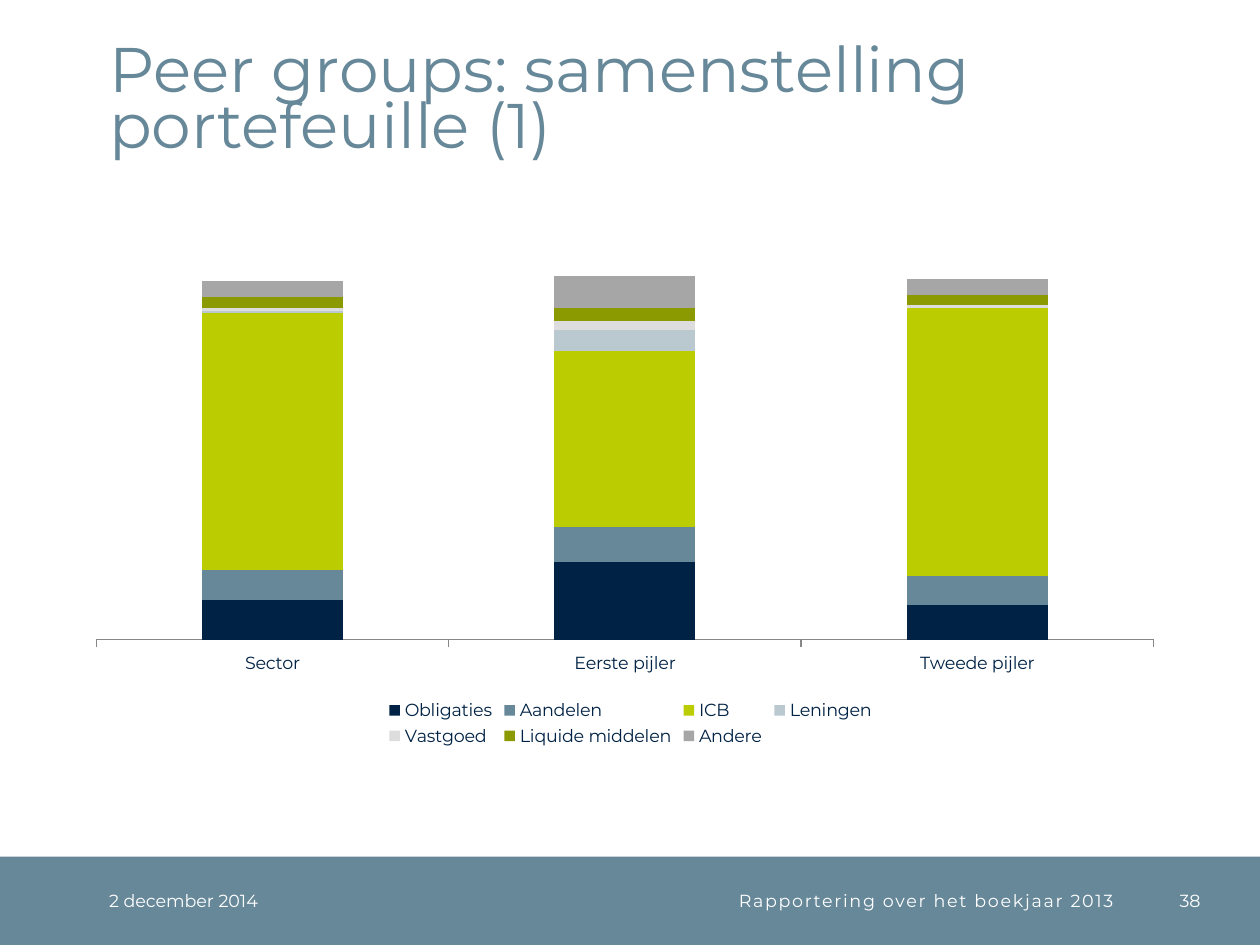
from lxml import etree
from pptx import Presentation, util as u
from pptx.chart.data import CategoryChartData
from pptx.dml.color import RGBColor
from pptx.enum import chart as ch, shapes, text
from pptx.oxml import parse_xml
from pptx.oxml.ns import nsdecls, qn

SLIDE_WIDTH, SLIDE_HEIGHT = 25.4, 19.05
FOOTER_TOP, FOOTER_HEIGHT = 17.27, 1.78
MARGIN = 2.2
NAVY, STEEL, WHITE, GREY = "002244", "668899", "FFFFFF", "878787"

CATEGORIES = ["Sector", "Eerste pijler", "Tweede pijler"]
PORTFOLIO = [
    ("Obligaties", (15, 29, 13), NAVY),
    ("Aandelen", (11, 13, 11), STEEL),
    ("ICB", (96, 66, 100), "BBCC00"),
    ("Leningen", (1, 8, 0), "BAC9D0"),
    ("Vastgoed", (1, 3, 1), "DDDDDD"),
    ("Liquide middelen", (4, 5, 4), "8B9A00"),
    ("Andere", (6, 12, 6), "A6A6A6"),
]


def colour(value):
    return RGBColor.from_string(value)


def write(frame, words, size=10, ink=WHITE, font="Montserrat", align="LEFT",
          anchor="MIDDLE", leading=None, tracking=None):
    frame.word_wrap = True
    frame.margin_left = frame.margin_right = 0
    frame.margin_top = frame.margin_bottom = 0
    frame.vertical_anchor = getattr(text.MSO_ANCHOR, anchor)
    line = frame.paragraphs[0]
    line.alignment = getattr(text.PP_ALIGN, align)
    if leading:
        line.line_spacing = u.Pt(leading)
    run = line.add_run()
    run.text = words
    run.font.name = font
    run.font.size = u.Pt(size)
    run.font.color.rgb = colour(ink)
    if tracking:
        run.font._element.set("spc", str(tracking * 100))


def manual_layout(x, y, w, h, inner=False):
    layout = parse_xml(f"<c:layout {nsdecls('c')}><c:manualLayout/></c:layout>")
    settings = [("layoutTarget", "inner")] if inner else []
    settings += [("xMode", "edge"), ("yMode", "edge"),
                 ("x", x), ("y", y), ("w", w), ("h", h)]
    for name, value in settings:
        etree.SubElement(layout[0], qn(f"c:{name}")).set("val", str(value))
    return layout


class Deck:
    font = "Montserrat"
    size = 10

    def __init__(self, width, height):
        self.deck = Presentation()
        self.deck.slide_width, self.deck.slide_height = u.Cm(width), u.Cm(height)
        self.slide = self.deck.slides.add_slide(self.deck.slide_layouts[6])

    def band(self, *place, fill):
        band = self.slide.shapes.add_shape(
            shapes.MSO_SHAPE.RECTANGLE, *map(u.Cm, place))
        band.shadow.inherit = False
        band.fill.solid()
        band.fill.fore_color.rgb = colour(fill)
        band.line.fill.background()

    def label(self, words, *place, **style):
        box = self.slide.shapes.add_textbox(*map(u.Cm, place))
        write(box.text_frame, words, font=self.font, **style)

    def stacked_columns(self, categories, portfolio, *place, top):
        data = CategoryChartData()
        data.categories = categories
        for name, values, _ in portfolio:
            data.add_series(name, values)
        chart = self.slide.shapes.add_chart(
            ch.XL_CHART_TYPE.COLUMN_STACKED, *map(u.Cm, place), data).chart
        chart.has_title = False
        chart.font.name = self.font
        chart.font.size = u.Pt(self.size)
        chart.font.color.rgb = colour(NAVY)

        columns = chart.plots[0]
        columns.gap_width, columns.overlap = 150, 100
        columns.vary_by_categories = False
        for series, (_, _, fill) in zip(columns.series, portfolio):
            series.format.fill.solid()
            series.format.fill.fore_color.rgb = colour(fill)

        shares = chart.value_axis
        shares.visible = False
        shares.has_major_gridlines = False
        shares.minimum_scale, shares.maximum_scale = 0, top
        shares.tick_labels.number_format = "0%"
        shares.tick_labels.number_format_is_linked = False

        groups = chart.category_axis
        groups.major_tick_mark = ch.XL_TICK_MARK.OUTSIDE
        groups.format.line.color.rgb = colour(GREY)
        groups.format.line.width = u.Pt(0.75)

        chart.has_legend = True
        chart.legend.position = ch.XL_LEGEND_POSITION.BOTTOM
        chart.legend.include_in_layout = False
        self.arrange(chart)

    def arrange(self, chart):
        plot_area = chart._chartSpace.chart.plotArea
        legend = chart.legend._element
        for part in (plot_area, legend):
            for old in part.findall(qn("c:layout")):
                part.remove(old)
        plot_area.insert(0, manual_layout(0.02, 0.02, 0.96, 0.78, inner=True))
        legend.find(qn("c:legendPos")).addnext(
            manual_layout(0.28, 0.9, 0.45, 0.1))


def main():
    page = Deck(SLIDE_WIDTH, SLIDE_HEIGHT)
    page.band(0, FOOTER_TOP, SLIDE_WIDTH, FOOTER_HEIGHT, fill=STEEL)
    page.label("2 december 2014", MARGIN, FOOTER_TOP, 4.5, FOOTER_HEIGHT)
    page.label("Peer groups: samenstelling portefeuille (1)",
               MARGIN, 0.5, 21.92, 2.74, size=36, ink=STEEL,
               anchor="BOTTOM", leading=32)
    page.label("38", 22.96, FOOTER_TOP, 1.24, FOOTER_HEIGHT, align="RIGHT")
    page.label("Rapportering over het boekjaar 2013",
               6.7, FOOTER_TOP, 15.75, FOOTER_HEIGHT, align="RIGHT", tracking=1)
    page.stacked_columns(CATEGORIES, PORTFOLIO, 1.5, 3.94, 22.2, 11.2, top=162)
    page.deck.save("out.pptx")


if __name__ == "__main__":
    main()
